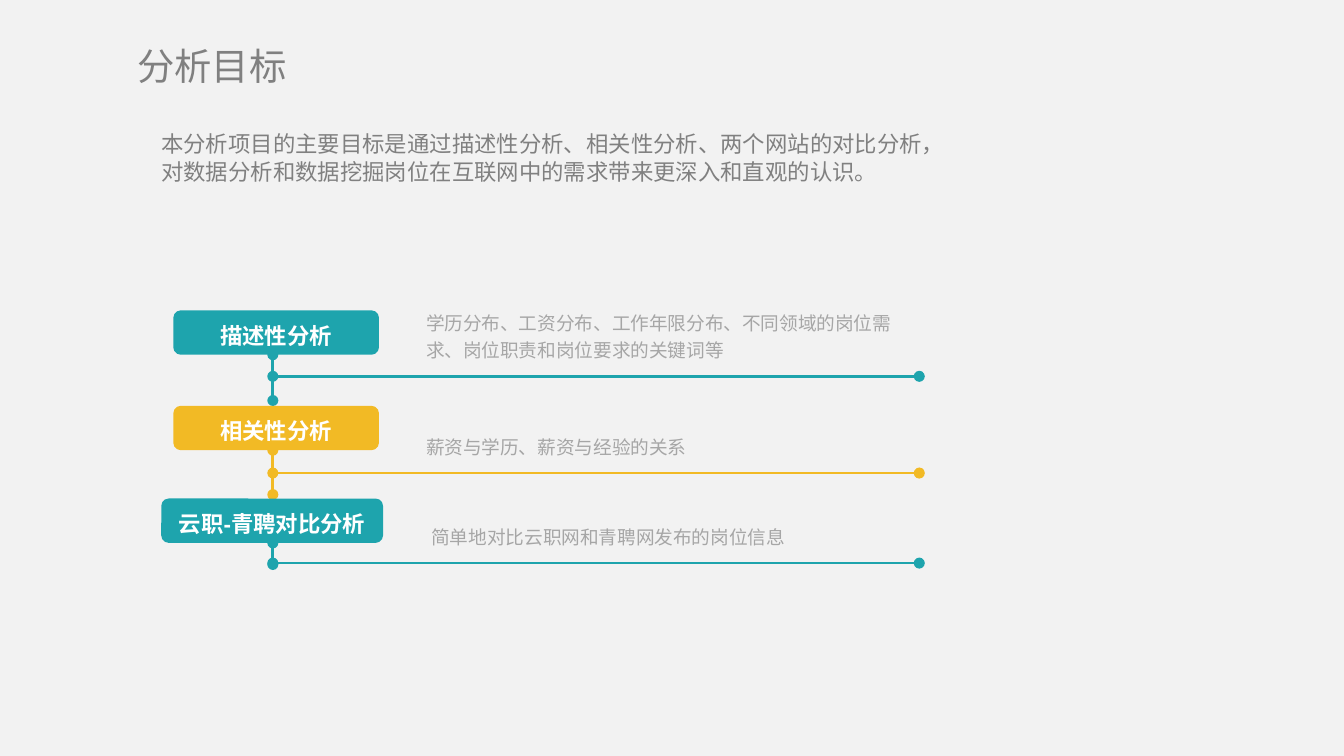
from lxml import etree
from pptx import Presentation
from pptx.dml.color import RGBColor
from pptx.enum import shapes, text
from pptx.oxml import ns
from pptx.util import Inches, Pt

TEAL = RGBColor(0x1E, 0xA4, 0xAD)
AMBER = RGBColor(0xF2, 0xBA, 0x25)
WHITE = RGBColor(0xFF, 0xFF, 0xFF)
DARK_GRAY = RGBColor(0x80, 0x80, 0x80)
LIGHT_GRAY = RGBColor(0xA6, 0xA6, 0xA6)
BACKGROUND = RGBColor(0xF2, 0xF2, 0xF2)
CJK_FONT = "Noto Sans CJK SC"

# Content
TITLE = "分析目标"
INTRO = ("本分析项目的主要目标是通过描述性分析、相关性分析、两个网站的对比分析，"
         "对数据分析和数据挖掘岗位在互联网中的需求带来更深入和直观的认识。")
# label, color, label box, note, note box, rule height, stem end
GOALS = [
    ("描述性分析", TEAL, (1.29, 2.31, 1.53, 0.33),
     "学历分布、工资分布、工作年限分布、不同领域的岗位需求、岗位职责和岗位要求的关键词等",
     (3.17, 2.29, 3.47, 0.4), 2.8, 2.98),
    ("相关性分析", AMBER, (1.29, 3.02, 1.53, 0.33),
     "薪资与学历、薪资与经验的关系", (3.17, 3.21, 3.47, 0.2), 3.52, 3.68),
    ("云职-青聘对比分析", TEAL, (1.2, 3.71, 1.65, 0.33),
     "简单地对比云职网和青聘网发布的岗位信息", (3.21, 3.88, 2.81, 0.2), 4.19, 4.2),
]
STEM_X, RULE_END = 2.03, 6.84

# Slide in 16:9
prs = Presentation()
prs.slide_width = Inches(10)
prs.slide_height = prs.slide_width * 9 // 16
slide = prs.slides.add_slide(prs.slide_layouts[6])
slide.background.fill.solid()
slide.background.fill.fore_color.rgb = BACKGROUND


def write(shape, words, size, color, font="Arial", bold=False, spacing=None,
          before=0, align=text.PP_ALIGN.LEFT, anchor=text.MSO_ANCHOR.TOP,
          margins=(0.07, 0.04)):
    frame = shape.text_frame
    frame.word_wrap = True
    frame.vertical_anchor = anchor
    frame.margin_left = frame.margin_right = Inches(margins[0])
    frame.margin_top = frame.margin_bottom = Inches(margins[1])
    paragraph = frame.paragraphs[0]
    paragraph.alignment = align
    paragraph.space_before = Pt(before)
    if spacing:
        paragraph.line_spacing = spacing
    run = paragraph.add_run()
    run.text = words
    run.font.name, run.font.size, run.font.bold = font, Pt(size), bold
    run.font.color.rgb = color
    east_asian = etree.SubElement(run.font._element, ns.qn("a:ea"))
    east_asian.set("typeface", CJK_FONT)


def add_textbox(box, words, size, color, **style):
    write(slide.shapes.add_textbox(*map(Inches, box)), words, size, color, **style)


def add_dotted_line(start, end, color):
    line = slide.shapes.add_connector(
        shapes.MSO_CONNECTOR.STRAIGHT, *map(Inches, (*start, *end)))
    line.line.color.rgb = color
    line.line.width = Pt(1.5)
    for side in ("a:headEnd", "a:tailEnd"):
        etree.SubElement(line.line._get_or_add_ln(), ns.qn(side)).set("type", "oval")
    etree.SubElement(line._element.spPr, ns.qn("a:effectLst"))


# Title and introduction
add_textbox((0.95, 0.28, 2.71, 0.41), TITLE, 20, DARK_GRAY, font=CJK_FONT)
add_textbox((1.13, 0.92, 6, 0.5), INTRO, 12, DARK_GRAY, spacing=Pt(15))

# Labels, with stem, rule and note for each goal
for label, color, label_box, note, note_box, rule_y, stem_end in GOALS:
    badge = slide.shapes.add_shape(
        shapes.MSO_SHAPE.ROUNDED_RECTANGLE, *map(Inches, label_box))
    badge.shadow.inherit = False
    badge.fill.solid()
    badge.fill.fore_color.rgb = color
    badge.line.fill.background()
    write(badge, label, 12, WHITE, bold=True, spacing=1.2,
          align=text.PP_ALIGN.CENTER, anchor=text.MSO_ANCHOR.MIDDLE)
    label_bottom = label_box[1] + label_box[3]
    add_dotted_line((STEM_X, label_bottom), (STEM_X, stem_end), color)
    add_dotted_line((RULE_END, rule_y), (STEM_X, rule_y), color)
    add_textbox(note_box, note, 10, LIGHT_GRAY, spacing=1.2, before=2, margins=(0, 0))

prs.save("out.pptx")
